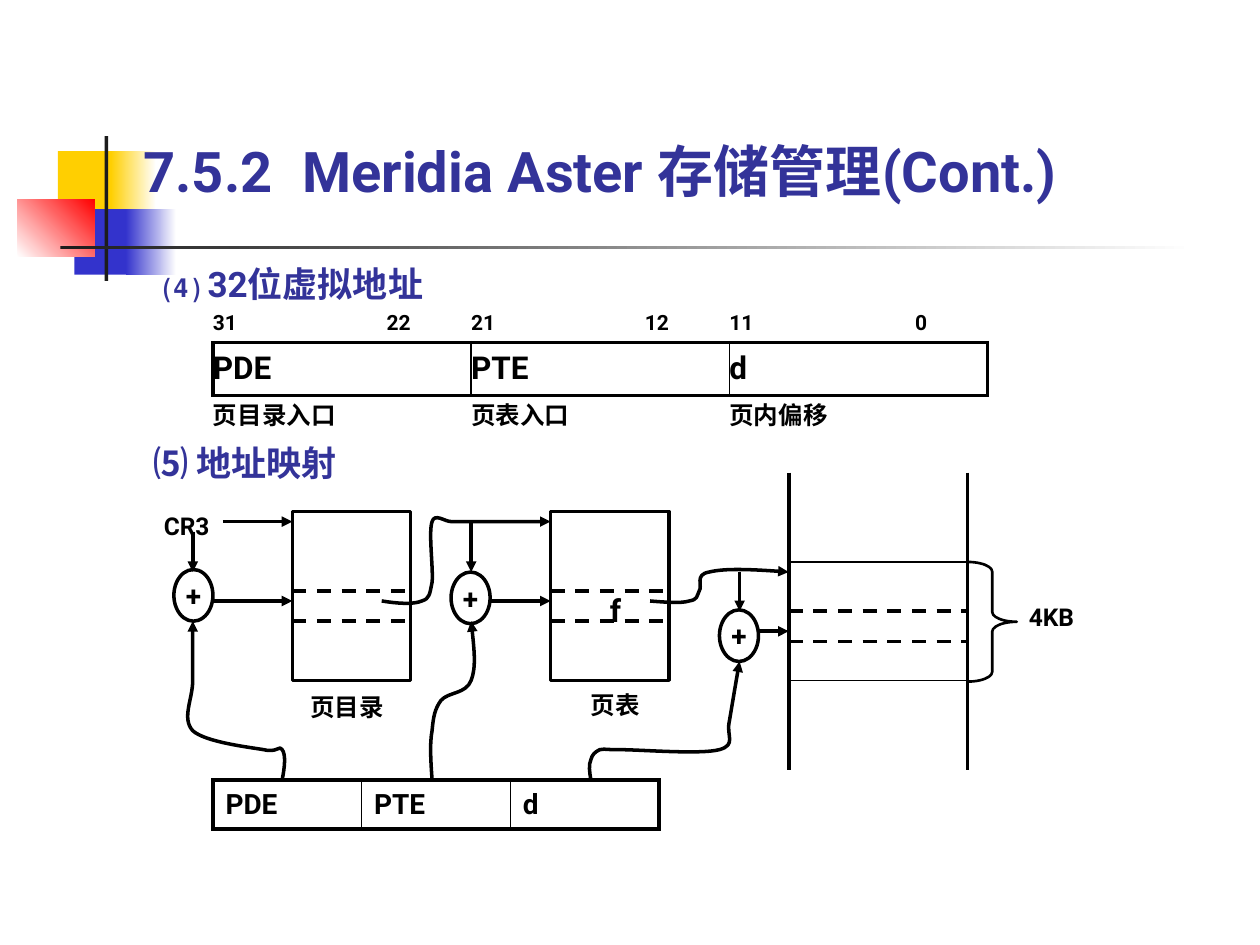
"""Build the slide on 32-bit virtual addresses and address mapping."""
from lxml.etree import SubElement
from pptx import Presentation
from pptx.dml.color import RGBColor
from pptx.enum.dml import MSO_LINE
from pptx.enum.shapes import MSO_CONNECTOR, MSO_SHAPE
from pptx.enum.text import MSO_ANCHOR, PP_ALIGN
from pptx.oxml.ns import qn
from pptx.util import Inches, Pt

BLACK = RGBColor(0x00, 0x00, 0x00)
WHITE = RGBColor(0xFF, 0xFF, 0xFF)
INDIGO = RGBColor(0x33, 0x33, 0x99)
BLUE = RGBColor(0x33, 0x33, 0xCC)
YELLOW = RGBColor(0xFF, 0xCF, 0x01)
RED = RGBColor(0xFF, 0x00, 0x00)
CHARCOAL = RGBColor(0x1C, 0x1C, 0x1C)


def write(frame, text, size, color=BLACK, align=PP_ALIGN.LEFT, tab=None):
    paragraph = frame.paragraphs[0]
    paragraph.text = text
    paragraph.alignment = align
    if tab:
        position, side = tab
        stops = SubElement(paragraph._p.get_or_add_pPr(), qn("a:tabLst"))
        SubElement(stops, qn("a:tab"), pos=str(Inches(position)), algn=side)
    paragraph.font.name = "Roboto"
    paragraph.font.size = Pt(size)
    paragraph.font.bold = True
    paragraph.font.color.rgb = color
    return paragraph


def outline(shape, width=2, dashed=False, arrow=False):
    shape.line.color.rgb = BLACK
    shape.line.width = Pt(width)
    if dashed:
        shape.line.dash_style = MSO_LINE.DASH
    properties = shape._element.spPr
    if arrow:
        SubElement(properties.find(qn("a:ln")), qn("a:tailEnd"), type="triangle")
    SubElement(properties, qn("a:effectLst"))


presentation = Presentation()
presentation.slide_width = Inches(10)
presentation.slide_height = Inches(7.5)
slide = presentation.slides.add_slide(presentation.slide_layouts[6])
shapes = slide.shapes

decorations = [
    (0.46, 1.2, 0.48, 0.52, YELLOW, None, 0),
    (0.88, 1.2, 0.36, 0.52, YELLOW, WHITE, 0),
    (0.59, 1.66, 0.46, 0.52, BLUE, None, 0),
    (1, 1.66, 0.4, 0.52, BLUE, WHITE, 0),
    (0.14, 1.58, 0.61, 0.46, WHITE, RED, 45),
    (0.83, 1.08, 0.03, 1.15, CHARCOAL, None, 0),
    (0.48, 1.95, 9, 0.03, CHARCOAL, WHITE, 0),
]
for left, top, width, height, start, end, angle in decorations:
    block = shapes.add_shape(MSO_SHAPE.RECTANGLE, Inches(left), Inches(top),
                             Inches(width), Inches(height))
    block.shadow.inherit = False
    block.line.fill.background()
    if end is None:
        block.fill.solid()
        block.fill.fore_color.rgb = start
    else:
        block.fill.gradient()
        block.fill.gradient_angle = angle
        for stop, color in zip(block.fill.gradient_stops, (start, end)):
            stop.color.rgb = color

address_tables = [
    (2.41, 2.05, [
        (0.31, 12, 0, 0, "B", ["31\t22", "21\t12", "11\t0"]),
        (0.42, 18, 0, 0.06, "LRTB", ["PDE", "PTE", "d"]),
        (0.27, 14, 0, 0, "T", ["页目录入口", "页表入口", "页内偏移"]),
    ]),
    (6.19, 1.18, [(0.39, 16, 0.1, 0.05, "LRTB", ["PDE", "PTE", "d"])]),
]
for top, column_width, rows in address_tables:
    table = shapes.add_table(len(rows), 3, Inches(1.69), Inches(top), Inches(3 * column_width),
                             Inches(sum(row[0] for row in rows))).table
    table.first_row = table.horz_banding = False
    for column in table.columns:
        column.width = Inches(column_width)
    for row_index, (height, size, side_margin, end_margin, sides, fields) in enumerate(rows):
        table.rows[row_index].height = Inches(height)
        for column_index, field in enumerate(fields):
            cell = table.cell(row_index, column_index)
            cell.vertical_anchor = MSO_ANCHOR.MIDDLE
            cell.margin_left = cell.margin_right = Inches(side_margin)
            cell.margin_top = cell.margin_bottom = Inches(end_margin)
            write(cell.text_frame, field, size, tab=(1.57, "r") if "\t" in field else None)
            for side in "LRTB":
                inner = (side == "L" and column_index > 0) or (side == "R" and column_index < 2)
                border = SubElement(cell._tc.get_or_add_tcPr(), qn("a:ln" + side),
                                    w=str(Pt(1 if inner else 2.25)))
                if side in sides:
                    ink = SubElement(border, qn("a:solidFill"))
                    SubElement(ink, qn("a:srgbClr"), val=str(BLACK))
                else:
                    SubElement(border, qn("a:noFill"))
            cell.fill.background()

for left in (2.32, 4.37):
    page = shapes.add_shape(MSO_SHAPE.RECTANGLE, Inches(left), Inches(4.06),
                            Inches(0.94), Inches(1.34))
    page.fill.background()
    outline(page)

brace = shapes.add_shape(MSO_SHAPE.RIGHT_BRACE, Inches(7.68), Inches(4.46),
                         Inches(0.39), Inches(0.95))
brace.adjustments[0] = 0.2
brace.fill.background()
outline(brace, 1.5)

for left, top in [(1.38, 4.52), (3.58, 4.54), (5.71, 4.84)]:
    adder = shapes.add_shape(MSO_SHAPE.OVAL, Inches(left), Inches(top),
                             Inches(0.31), Inches(0.41))
    adder.fill.background()
    outline(adder)
    frame = adder.text_frame
    frame.margin_left = frame.margin_right = frame.margin_top = frame.margin_bottom = 0
    frame.vertical_anchor = MSO_ANCHOR.MIDDLE
    write(frame, "+", 16, align=PP_ALIGN.CENTER)

entry_edges = [(left, y, right, y) for left, right in [(2.32, 3.27), (4.37, 5.31)]
               for y in (4.69, 4.93)]
entry_edges += [(6.26, y, 7.68, y) for y in (4.85, 5.09)]
memory_walls = [(x, 3.75, x, 6.11) for x in (6.26, 7.68)]
frame_edges = [(6.26, y, 7.68, y) for y in (4.46, 5.4)]
arrows = [
    (1.77, 4.14, 2.32, 4.14), (1.53, 4.22, 1.53, 4.54), (1.69, 4.77, 2.32, 4.77),
    (3.74, 4.14, 3.74, 4.54), (3.9, 4.77, 4.37, 4.77),
    (5.87, 4.54, 5.87, 4.85), (6.02, 5.01, 6.26, 5.01),
]
for segments, width, dashed, arrow in [(entry_edges, 2, True, False),
                                       (memory_walls, 2, False, False),
                                       (frame_edges, 0.75, False, False),
                                       (arrows, 2, False, True)]:
    for segment in segments:
        connector = shapes.add_connector(MSO_CONNECTOR.STRAIGHT, *map(Inches, segment))
        outline(connector, width, dashed, arrow)

curved_arrows = [
    [(2.24, 6.19), (2.26, 6.09), (2.27, 5.99), (2.24, 5.95), (2.22, 5.91), (2.2, 5.98),
     (2.09, 5.95), (1.97, 5.93), (1.63, 5.89), (1.53, 5.8), (1.44, 5.7), (1.53, 5.55),
     (1.53, 5.4), (1.53, 5.26), (1.53, 5.1), (1.53, 4.93)],
    [(3.03, 4.77), (3.15, 4.79), (3.28, 4.8), (3.35, 4.77), (3.41, 4.75), (3.41, 4.72),
     (3.43, 4.62), (3.44, 4.51), (3.4, 4.22), (3.43, 4.14), (3.45, 4.07), (3.53, 4.14),
     (3.58, 4.14), (3.64, 4.14), (3.61, 4.14), (3.74, 4.14), (3.87, 4.14), (4.12, 4.14),
     (4.37, 4.14)],
    [(3.43, 6.19), (3.42, 6.05), (3.41, 5.9), (3.43, 5.8), (3.44, 5.69), (3.45, 5.63),
     (3.5, 5.56), (3.56, 5.49), (3.7, 5.51), (3.74, 5.4), (3.78, 5.3), (3.76, 5.11),
     (3.74, 4.93)],
    [(5.16, 4.77), (5.28, 4.78), (5.41, 4.79), (5.47, 4.77), (5.54, 4.76), (5.53, 4.73),
     (5.55, 4.69), (5.58, 4.65), (5.51, 4.56), (5.63, 4.54), (5.75, 4.51), (6, 4.52),
     (6.26, 4.54)],
    [(4.69, 6.19), (4.68, 6.13), (4.67, 6.07), (4.69, 6.03), (4.7, 5.99), (4.72, 5.97),
     (4.76, 5.95), (4.8, 5.94), (4.76, 5.95), (4.92, 5.95), (5.08, 5.95), (5.56, 5.99),
     (5.71, 5.95), (5.85, 5.91), (5.76, 5.84), (5.79, 5.72), (5.81, 5.6), (5.84, 5.42),
     (5.87, 5.25)],
]
for points in curved_arrows:
    start, *controls = [(Inches(x), Inches(y)) for x, y in points]
    builder = shapes.build_freeform(*start)
    builder.add_line_segments(controls, close=False)
    route = builder.convert_to_shape()
    geometry = route._element.find(".//" + qn("a:path"))
    steps = geometry.findall(qn("a:lnTo"))
    for first in range(0, len(steps), 3):
        bezier = SubElement(geometry, qn("a:cubicBezTo"))
        for step in steps[first:first + 3]:
            bezier.append(step[0])
            geometry.remove(step)
    route.fill.background()
    outline(route, arrow=True)

LEFT, CENTER = PP_ALIGN.LEFT, PP_ALIGN.CENTER
labels = [
    (1.14, 1.08, 8.27, 0.54, "7.5.2\tMeridia Aster 存储管理(Cont.)", 32, INDIGO, LEFT, (1.26, "l")),
    (1.3, 2.02, 2.91, 0.4, "⑷ 32位虚拟地址", 20, INDIGO, LEFT, None),
    (1.22, 3.44, 1.65, 0.4, "⑸ 地址映射", 20, INDIGO, LEFT, None),
    (1.3, 4.06, 0.47, 0.23, "CR3", 14, BLACK, LEFT, None),
    (2.4, 5.49, 0.71, 0.23, "页目录", 14, BLACK, CENTER, None),
    (4.53, 5.48, 0.71, 0.23, "页表", 14, BLACK, CENTER, None),
    (4.53, 4.69, 0.71, 0.3, "f", 18, BLACK, CENTER, None),
    (7.99, 4.78, 0.71, 0.23, "4KB", 14, BLACK, CENTER, None),
]
for left, top, width, height, text, size, color, align, tab in labels:
    frame = shapes.add_textbox(Inches(left), Inches(top), Inches(width), Inches(height)).text_frame
    frame.word_wrap = True
    frame.margin_left = frame.margin_right = frame.margin_top = frame.margin_bottom = 0
    frame.vertical_anchor = MSO_ANCHOR.MIDDLE if size == 32 else MSO_ANCHOR.TOP
    paragraph = write(frame, text, size, color, align, tab)
    if size == 20:
        paragraph.line_spacing = 1.2

presentation.save("out.pptx")
